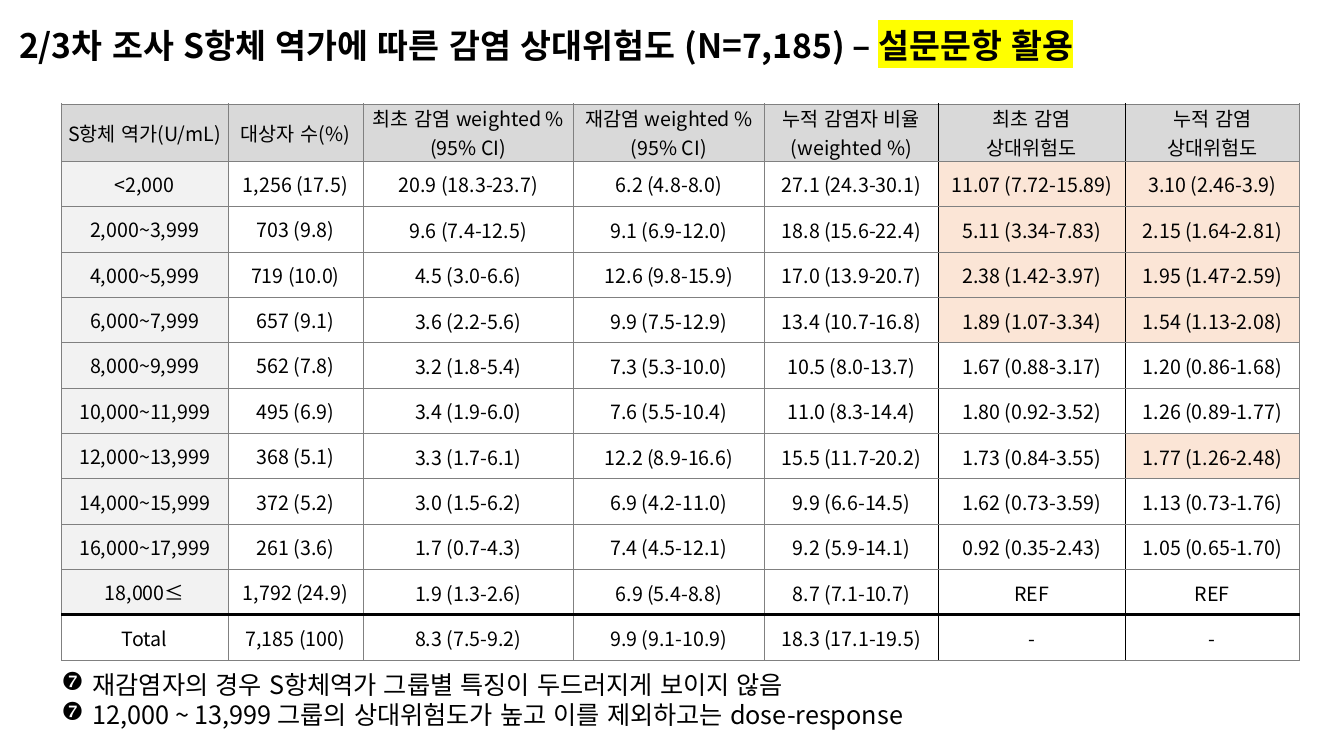
"""Build a slide with a table of relative infection risk by antibody titre."""
import dataclasses
import typing

import lxml.etree
import pptx
import pptx.dml.color
import pptx.enum.lang
import pptx.enum.text
import pptx.oxml.ns
import pptx.util

PX = 9144
ALIGN = pptx.enum.text.PP_ALIGN
ANCHOR = pptx.enum.text.MSO_ANCHOR
AUTO = pptx.enum.text.MSO_AUTO_SIZE
KOREAN = pptx.enum.lang.MSO_LANGUAGE_ID.KOREAN


@dataclasses.dataclass(frozen=True)
class Theme:
    font: str = "Noto Sans CJK KR"
    bullet_font: str = "Wingdings"
    text: str = "000000"
    header: str = "D9D9D9"
    label: str = "F2F2F2"
    risk: str = "FBE5D6"
    plain: str = "FFFFFF"
    mark: str = "FFFF00"
    grid: str = "808080"
    title_size: int = 24
    table_size: int = 14
    note_size: int = 18


@dataclasses.dataclass(frozen=True)
class Box:
    left: int
    top: int
    width: int
    height: int


@dataclasses.dataclass(frozen=True)
class Border:
    color: str
    width: float


@dataclasses.dataclass(frozen=True)
class TitreRow:
    cells: tuple[str, ...]
    risks: tuple[int, ...] = ()


THEME = Theme()
THIN = Border(THEME.grid, 0.5)
DIVIDER = Border(THEME.text, 1)
TOTAL_RULE = Border(THEME.text, 2.25)

TITLE_BOX = Box(9, 20, 1165, 50)
TABLE_BOX = Box(61, 103, 1228, 552)
NOTE_BOX = Box(51, 659, 1248, 71)
COL_WIDTHS = (165, 134, 209, 189, 173, 185, 173)
HEADER_HEIGHT, ROW_HEIGHT = 57, 45
NOTE_INDENT = 31

TITLE = "2/3차 조사 S항체 역가에 따른 감염 상대위험도 (N=7,185) – "
TITLE_MARKED = "설문문항 활용"
NOTES = (
    "재감염자의 경우 S항체역가 그룹별 특징이 두드러지게 보이지 않음",
    "12,000 ~ 13,999 그룹의 상대위험도가 높고 이를 제외하고는 dose-response",
)
ROWS = (
    TitreRow(("S항체 역가(U/mL)", "대상자 수(%)", "최초 감염 weighted % (95% CI)", "재감염 weighted % (95% CI)",
              "누적 감염자 비율 (weighted %)", "최초 감염\n상대위험도", "누적 감염\n상대위험도")),
    TitreRow(("<2,000", "1,256 (17.5)", "20.9 (18.3-23.7)", "6.2 (4.8-8.0)", "27.1 (24.3-30.1)",
              "11.07 (7.72-15.89)", "3.10 (2.46-3.9)"), (5, 6)),
    TitreRow(("2,000~3,999", "703 (9.8)", "9.6 (7.4-12.5)", "9.1 (6.9-12.0)", "18.8 (15.6-22.4)",
              "5.11 (3.34-7.83)", "2.15 (1.64-2.81)"), (5, 6)),
    TitreRow(("4,000~5,999", "719 (10.0)", "4.5 (3.0-6.6)", "12.6 (9.8-15.9)", "17.0 (13.9-20.7)",
              "2.38 (1.42-3.97)", "1.95 (1.47-2.59)"), (5, 6)),
    TitreRow(("6,000~7,999", "657 (9.1)", "3.6 (2.2-5.6)", "9.9 (7.5-12.9)", "13.4 (10.7-16.8)",
              "1.89 (1.07-3.34)", "1.54 (1.13-2.08)"), (5, 6)),
    TitreRow(("8,000~9,999", "562 (7.8)", "3.2 (1.8-5.4)", "7.3 (5.3-10.0)", "10.5 (8.0-13.7)",
              "1.67 (0.88-3.17)", "1.20 (0.86-1.68)")),
    TitreRow(("10,000~11,999", "495 (6.9)", "3.4 (1.9-6.0)", "7.6 (5.5-10.4)", "11.0 (8.3-14.4)",
              "1.80 (0.92-3.52)", "1.26 (0.89-1.77)")),
    TitreRow(("12,000~13,999", "368 (5.1)", "3.3 (1.7-6.1)", "12.2 (8.9-16.6)", "15.5 (11.7-20.2)",
              "1.73 (0.84-3.55)", "1.77 (1.26-2.48)"), (6,)),
    TitreRow(("14,000~15,999", "372 (5.2)", "3.0 (1.5-6.2)", "6.9 (4.2-11.0)", "9.9 (6.6-14.5)",
              "1.62 (0.73-3.59)", "1.13 (0.73-1.76)")),
    TitreRow(("16,000~17,999", "261 (3.6)", "1.7 (0.7-4.3)", "7.4 (4.5-12.1)", "9.2 (5.9-14.1)",
              "0.92 (0.35-2.43)", "1.05 (0.65-1.70)")),
    TitreRow(("18,000≤", "1,792 (24.9)", "1.9 (1.3-2.6)", "6.9 (5.4-8.8)", "8.7 (7.1-10.7)", "REF", "REF")),
    TitreRow(("Total", "7,185 (100)", "8.3 (7.5-9.2)", "9.9 (9.1-10.9)", "18.3 (17.1-19.5)", "-", "-")),
)
TOTAL = len(ROWS) - 1


def px(n: int) -> int:
    return pptx.util.Emu(n * PX)


def rgb(color: str) -> pptx.dml.color.RGBColor:
    return pptx.dml.color.RGBColor.from_string(color)


def apply(target: typing.Any, values: dict[str, typing.Any]) -> None:
    for name, value in values.items():
        setattr(target, name, value)


def place(sp: typing.Any, box: Box) -> None:
    apply(sp, {name: px(n) for name, n in dataclasses.asdict(box).items()})


def element(tag: str, **attrs: str) -> typing.Any:
    return lxml.etree.Element(pptx.oxml.ns.qn(tag), attrs)


def color_element(tag: str, color: str) -> typing.Any:
    el = element(tag)
    el.append(element("a:srgbClr", val=color))
    return el


def add_run(p: typing.Any, text: str, size: int, bold: bool = False, mark: str = "") -> None:
    r = p.add_run()
    r.text = text
    apply(r.font, {"name": THEME.font, "size": pptx.util.Pt(size), "bold": bold, "language_id": KOREAN})
    r.font.color.rgb = rgb(THEME.text)
    latin = r.font._element.find(pptx.oxml.ns.qn("a:latin"))
    latin.addnext(element("a:ea", typeface=THEME.font))
    if mark:
        latin.addprevious(color_element("a:highlight", mark))


def add_title(s: typing.Any) -> None:
    sp = s.shapes.title
    place(sp, TITLE_BOX)
    tf = sp.text_frame
    apply(tf, {"word_wrap": False, "auto_size": AUTO.SHAPE_TO_FIT_TEXT, "vertical_anchor": ANCHOR.TOP})
    p = tf.paragraphs[0]
    apply(p, {"alignment": ALIGN.LEFT, "line_spacing": 1.0})
    add_run(p, TITLE, THEME.title_size, True)
    add_run(p, TITLE_MARKED, THEME.title_size, True, THEME.mark)


def cell_fill(row: int, col: int) -> str:
    if row == 0:
        return THEME.header
    if col == 0 and row < TOTAL:
        return THEME.label
    return THEME.risk if col in ROWS[row].risks else THEME.plain


def cell_borders(row: int, col: int) -> dict[str, Border]:
    return {
        "a:lnL": DIVIDER if col >= 5 else THIN,
        "a:lnR": DIVIDER if col in (4, 5) else THIN,
        "a:lnT": TOTAL_RULE if row == TOTAL else THIN,
        "a:lnB": TOTAL_RULE if row == TOTAL - 1 else THIN,
    }


def format_cell(cell: typing.Any, row: int, col: int) -> None:
    wide = row == 0 or col < 2 or (row == TOTAL and col >= 5)
    side, top = (4, 0) if wide else (1, 1)
    apply(cell, {"margin_left": px(side), "margin_right": px(side), "margin_top": px(top),
                 "margin_bottom": 0, "vertical_anchor": ANCHOR.MIDDLE})
    cell.fill.solid()
    cell.fill.fore_color.rgb = rgb(cell_fill(row, col))
    for i, (tag, border) in enumerate(cell_borders(row, col).items()):
        ln = element(tag, w=str(int(pptx.util.Pt(border.width))))
        ln.append(color_element("a:solidFill", border.color))
        cell._tc.tcPr.insert(i, ln)
    tf = cell.text_frame
    for i, line in enumerate(ROWS[row].cells[col].split("\n")):
        p = tf.add_paragraph() if i else tf.paragraphs[0]
        p.alignment = ALIGN.CENTER
        add_run(p, line, THEME.table_size)


def add_risk_table(s: typing.Any) -> None:
    b = TABLE_BOX
    table = s.shapes.add_table(len(ROWS), len(COL_WIDTHS), px(b.left), px(b.top), px(b.width), px(b.height)).table
    apply(table, {"first_row": False, "horz_banding": False})
    for col, width in enumerate(COL_WIDTHS):
        table.columns[col].width = px(width)
    for row in range(len(ROWS)):
        table.rows[row].height = px(ROW_HEIGHT if row else HEADER_HEIGHT)
        for col in range(len(COL_WIDTHS)):
            format_cell(table.cell(row, col), row, col)


def add_notes(s: typing.Any) -> None:
    b = NOTE_BOX
    tf = s.shapes.add_textbox(px(b.left), px(b.top), px(b.width), px(b.height)).text_frame
    apply(tf, {"word_wrap": True, "auto_size": AUTO.SHAPE_TO_FIT_TEXT})
    for i, note in enumerate(NOTES):
        p = tf.add_paragraph() if i else tf.paragraphs[0]
        pPr = p._p.get_or_add_pPr()
        pPr.set("marL", str(px(NOTE_INDENT)))
        pPr.set("indent", str(-px(NOTE_INDENT)))
        pPr.append(element("a:buFont", typeface=THEME.bullet_font))
        pPr.append(element("a:buChar", char="→"))
        add_run(p, note, THEME.note_size)


def main() -> None:
    prs = pptx.Presentation()
    apply(prs, {"slide_width": px(1333), "slide_height": px(750)})
    s = prs.slides.add_slide(prs.slide_layouts[5])
    add_title(s)
    add_risk_table(s)
    add_notes(s)
    prs.save("out.pptx")


if __name__ == "__main__":
    main()
